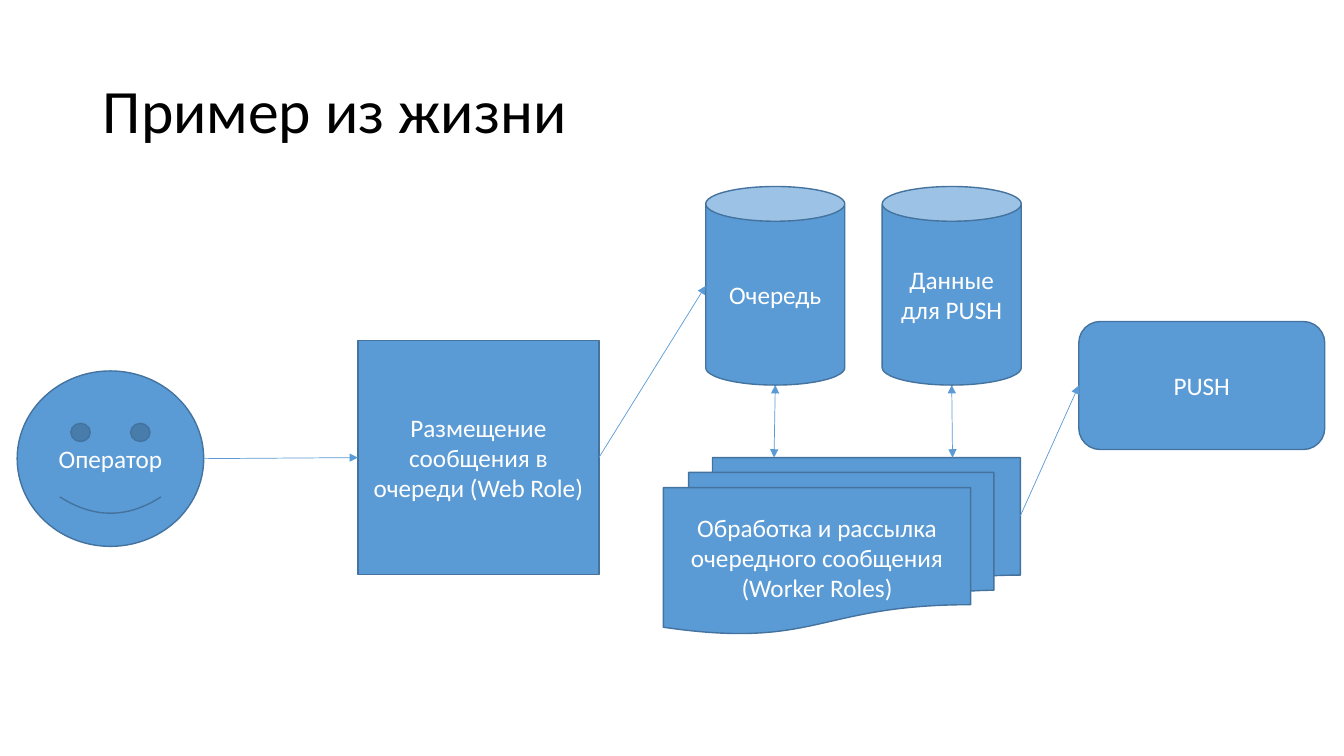
from dataclasses import dataclass

from lxml import etree
from pptx import Presentation
from pptx.dml.color import RGBColor
from pptx.enum.shapes import MSO_CONNECTOR, MSO_SHAPE
from pptx.enum.text import MSO_ANCHOR, MSO_AUTO_SIZE, PP_ALIGN
from pptx.oxml.ns import qn
from pptx.util import Inches, Pt

STRAIGHT = MSO_CONNECTOR.STRAIGHT
SMILEY, RECTANGLE = MSO_SHAPE.SMILEY_FACE, MSO_SHAPE.RECTANGLE
CAN, ROUNDED = MSO_SHAPE.CAN, MSO_SHAPE.ROUNDED_RECTANGLE
DOCUMENTS = MSO_SHAPE.FLOWCHART_MULTIDOCUMENT
MIDDLE = MSO_ANCHOR.MIDDLE
LEFT, CENTER = PP_ALIGN.LEFT, PP_ALIGN.CENTER
NO_AUTOFIT = MSO_AUTO_SIZE.NONE
TITLE_ONLY_LAYOUT = 5


@dataclass(frozen=True)
class Theme:
    font: str = "Calibri"
    title_size: float = 44
    label_size: float = 18
    title_color: str = "000000"
    label_color: str = "FFFFFF"
    fill: str = "5B9BD5"
    outline: str = "43739E"
    outline_width: float = 1
    arrow_width: float = 0.5


THEME = Theme()

# Content: places are left, top, width, height in percent of the slide
TITLE = "Пример из жизни"
TITLE_PLACE = (6.9, 5.33, 86.27, 19.33)
NODES = {
    "operator": (SMILEY, "Оператор", (1.28, 49.07, 13.88, 23.2)),
    "web role": (RECTANGLE, "Размещение сообщения в очереди (Web Role)",
                 (26.63, 45.07, 17.93, 30.93)),
    "queue": (CAN, "Очередь", (52.51, 24.67, 10.35, 26.27)),
    "data": (CAN, "Данные для PUSH", (65.64, 24.67, 10.35, 26.27)),
    "push": (ROUNDED, "PUSH", (80.27, 42.53, 18.3, 16.93)),
    "workers": (DOCUMENTS,
                "Обработка и рассылка очередного сообщения (Worker Roles)",
                (49.36, 60.53, 26.56, 23.33)),
}

# Arrow ends are shares of the node's width and height
LEFT_SIDE, RIGHT_SIDE, BOTTOM_SIDE = (0, 0.5), (1, 0.5), (0.5, 1)
ARROWS = [
    ("operator", RIGHT_SIDE, "web role", LEFT_SIDE, False),
    ("web role", RIGHT_SIDE, "queue", LEFT_SIDE, False),
    ("workers", (0.31, 0), "queue", BOTTOM_SIDE, True),
    ("workers", (0.81, 0), "data", BOTTOM_SIDE, True),
    ("workers", (1, 0.33), "push", LEFT_SIDE, False),
]

presentation = Presentation()
presentation.slide_width = Inches(13.33)
presentation.slide_height = Inches(7.5)
COLUMN = presentation.slide_width / 100
ROW = presentation.slide_height / 100


def to_slide(place):
    left, top, width, height = place
    return [round(length) for length in
            (left * COLUMN, top * ROW, width * COLUMN, height * ROW)]


def write(shape, text, size, color, alignment):
    frame = shape.text_frame
    frame.word_wrap = True
    frame.auto_size = NO_AUTOFIT
    frame.vertical_anchor = MIDDLE
    paragraph = frame.paragraphs[0]
    paragraph.alignment = alignment
    run = paragraph.add_run()
    run.text = text
    run.font.name = THEME.font
    run.font.size = Pt(size)
    run.font.color.rgb = RGBColor.from_string(color)
    return paragraph


def add_node(slide, kind, text, place):
    shape = slide.shapes.add_shape(kind, *to_slide(place))
    shape.shadow.inherit = False
    shape.fill.solid()
    shape.fill.fore_color.rgb = RGBColor.from_string(THEME.fill)
    shape.line.color.rgb = RGBColor.from_string(THEME.outline)
    shape.line.width = Pt(THEME.outline_width)
    write(shape, text, THEME.label_size, THEME.label_color, CENTER)
    return shape


def point_on(shape, share):
    across, down = share
    return (round(shape.left + across * shape.width),
            round(shape.top + down * shape.height))


def add_arrow(slide, start, end, both_ways):
    connector = slide.shapes.add_connector(STRAIGHT, *start, *end)
    connector.line.color.rgb = RGBColor.from_string(THEME.fill)
    connector.line.width = Pt(THEME.arrow_width)
    properties = connector._element.spPr
    outline = properties.find(qn("a:ln"))
    for tag in ("a:headEnd", "a:tailEnd") if both_ways else ("a:tailEnd",):
        etree.SubElement(outline, qn(tag), type="triangle")
    etree.SubElement(properties, qn("a:effectLst"))


# Title
slide = presentation.slides.add_slide(
    presentation.slide_layouts[TITLE_ONLY_LAYOUT])
title = slide.shapes.title
title.left, title.top, title.width, title.height = to_slide(TITLE_PLACE)
heading = write(title, TITLE, THEME.title_size, THEME.title_color, LEFT)
heading.line_spacing = 0.9

# Diagram
shapes = {name: add_node(slide, *node) for name, node in NODES.items()}
for source, source_share, target, target_share, both_ways in ARROWS:
    add_arrow(slide, point_on(shapes[source], source_share),
              point_on(shapes[target], target_share), both_ways)

presentation.save("out.pptx")
